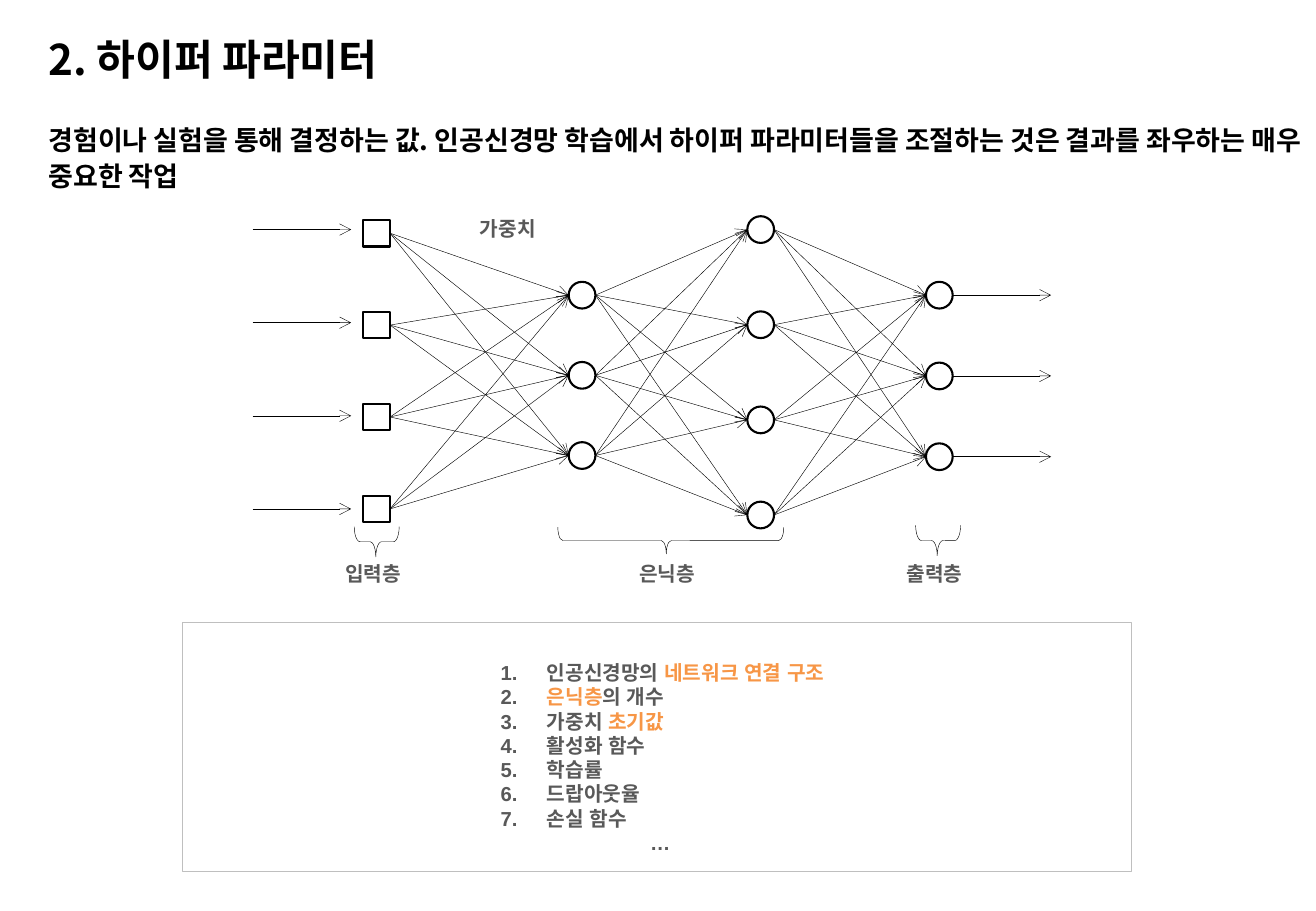
from itertools import product

from lxml.etree import SubElement
from pptx import Presentation
from pptx.dml.color import RGBColor
from pptx.enum.shapes import MSO_CONNECTOR as Link, MSO_SHAPE as Shape
from pptx.enum.text import MSO_ANCHOR as Anchor, MSO_AUTO_SIZE as AutoSize, PP_ALIGN as Align
from pptx.oxml.ns import qn
from pptx.util import Inches, Pt

TITLE = "2. 하이퍼 파라미터"
SUMMARY = ("경험이나 실험을 통해 결정하는 값. 인공신경망 학습에서 하이퍼 파라미터들을 "
           "조절하는 것은 결과를 좌우하는 매우 중요한 작업")
# Each item is a list of (text, colour) spans.
PARAMETERS = [
    [("인공신경망의 ", "muted"), ("네트워크 연결 구조", "accent")],
    [("은닉층", "accent"), ("의 개수", "muted")],
    [("가중치 ", "muted"), ("초기값", "accent")],
    [("활성화 함수", "muted")],
    [("학습률", "muted")],
    [("드랍아웃율", "muted")],
    [("손실 함수", "muted")],
]
MORE = "…"

# Layers: node shape, centre x, first and last centre y, number of nodes
LAYERS = [
    (Shape.RECTANGLE, 3.1, 1.92, 4.19, 4),
    (Shape.OVAL, 4.79, 2.43, 3.75, 3),
    (Shape.OVAL, 6.26, 1.89, 4.24, 4),
    (Shape.OVAL, 7.73, 2.43, 3.76, 3),
]
# Braces: label, centre x, centre y, span, depth
BRACES = [
    ("입력층", 3.1, 4.46, 0.37, 0.25),
    ("은닉층", 5.52, 4.45, 1.86, 0.22),
    ("출력층", 7.72, 4.45, 0.37, 0.25),
]
WEIGHT_LABEL = ("가중치", 4.18, 1.73)
NODE = 0.22
ARROW = 0.81
INPUT_ARROWS = (2.08, 1.89, 4.19)
LABEL_TOP, LABEL_WIDTH, LABEL_HEIGHT = 4.57, 0.71, 0.3
LABEL_SHIFT = -0.03
NUMBER_INDENT, TEXT_INDENT, MORE_INDENT = 2.5, 2.88, 3.73

THEME = {
    "black": "000000", "white": "FFFFFF", "muted": "595959",
    "accent": "F79646", "border": "BFBFBF",
    "heading_font": "Noto Sans CJK KR", "body_font": "Arial",
    "title_size": 25, "summary_size": 16, "body_size": 12,
    "thin": 0.25, "outline": 1.25,
}


def color(name):
    return RGBColor.from_string(THEME[name])


def spread(first, last, count):
    """Return count evenly spaced values from first to last."""
    return [first + (last - first) * i / (count - 1) for i in range(count)]


def set_frame(frame, **values):
    for name, value in values.items():
        setattr(frame, name, value)


def add_span(para, text, size="body_size", font="body_font", ink="muted"):
    span = para.add_run()
    span.text = text
    values = {"size": Pt(THEME[size]), "bold": True, "name": THEME[font]}
    for name, value in values.items():
        setattr(span.font, name, value)
    span.font.color.rgb = color(ink)
    SubElement(span.font._element, qn("a:ea"), typeface=THEME[font])


def add_outline(page, kind, left, top, width, height, line="black", weight="thin", fill=None):
    shape = page.shapes.add_shape(kind, *map(Inches, (left, top, width, height)))
    shape.shadow.inherit = False
    if fill:
        shape.fill.solid()
        shape.fill.fore_color.rgb = color(fill)
    else:
        shape.fill.background()
    shape.line.color.rgb = color(line)
    shape.line.width = Pt(THEME[weight])
    return shape


def add_arrow(page, start, end, source=None):
    arrow = page.shapes.add_connector(Link.STRAIGHT, *map(Inches, (*start, *end)))
    if source is not None:
        arrow.begin_connect(source, 3)
    arrow.line.color.rgb = color("black")
    arrow.line.width = Pt(THEME["thin"])
    SubElement(arrow.line._get_or_add_ln(), qn("a:tailEnd"), type="arrow")
    SubElement(arrow._element.spPr, qn("a:effectLst"))


def add_label(page, text, center, top):
    box = page.shapes.add_textbox(*map(
        Inches, (center - LABEL_WIDTH / 2, top, LABEL_WIDTH, LABEL_HEIGHT)))
    set_frame(box.text_frame, word_wrap=False)
    para = box.text_frame.paragraphs[0]
    para.alignment = Align.CENTER
    add_span(para, text)


def indent(para, left, first=0):
    props = para._p.get_or_add_pPr()
    props.set("marL", str(Inches(left)))
    props.set("indent", str(Inches(first)))
    return props


def add_headings(page):
    summary = page.shapes.add_textbox(*map(Inches, (0.11, 0.95, 10.9, 0.68)))
    title = page.shapes.title
    title.left, title.top, title.width, title.height = map(Inches, (0.31, 0.19, 8.82, 0.55))
    for box, text, size, anchor in ((title, TITLE, "title_size", Anchor.MIDDLE),
                                    (summary, SUMMARY, "summary_size", Anchor.TOP)):
        set_frame(box.text_frame, word_wrap=True, auto_size=AutoSize.NONE,
                  vertical_anchor=anchor, margin_top=Inches(0.04), margin_bottom=Inches(0.04),
                  margin_left=Inches(0.09), margin_right=Inches(0.09))
        para = box.text_frame.paragraphs[0]
        para.alignment = Align.LEFT
        para.line_spacing = 1.1
        add_span(para, text, size, "heading_font", "black")
    indent(summary.text_frame.paragraphs[0], 0.2)


def add_parameters(page):
    box = add_outline(page, Shape.DOWN_ARROW_CALLOUT, 1.5, 5.12, 7.81, 2.05, "border", fill="white")
    for i, value in enumerate((1, 0.5, 0, 1)):
        box.adjustments[i] = value
    frame = box.text_frame
    set_frame(frame, word_wrap=True, vertical_anchor=Anchor.MIDDLE,
              margin_left=Inches(0.12), margin_top=Inches(0.24),
              margin_right=Inches(0.09), margin_bottom=Inches(0.06))
    para = frame.paragraphs[0]
    for spans in PARAMETERS:
        para.alignment = Align.JUSTIFY
        props = indent(para, TEXT_INDENT, NUMBER_INDENT - TEXT_INDENT)
        bullet_color = SubElement(props, qn("a:buClr"))
        SubElement(bullet_color, qn("a:srgbClr"), val=THEME["muted"])
        SubElement(props, qn("a:buFont"), typeface=THEME["body_font"])
        SubElement(props, qn("a:buAutoNum"), type="arabicPeriod")
        for text, ink in spans:
            add_span(para, text, ink=ink)
        para = frame.add_paragraph()
    para.alignment = Align.JUSTIFY
    indent(para, MORE_INDENT)
    add_span(para, MORE)


def add_network(page):
    half = NODE / 2
    layers = []
    for kind, x, first, last, count in LAYERS:
        layers.append([
            (add_outline(page, kind, x - half, y - half, NODE, NODE, weight="outline"), x, y)
            for y in spread(first, last, count)])

    for sources, targets in zip(layers, layers[1:]):
        for (node, x, y), (_, next_x, next_y) in product(sources, targets):
            source = node if sources is layers[0] else None
            add_arrow(page, (x + half, y), (next_x - half, next_y), source)

    left, first, last = INPUT_ARROWS
    for y in spread(first, last, len(layers[0])):
        add_arrow(page, (left, y), (left + ARROW, y))
    for _, x, y in layers[-1]:
        add_arrow(page, (x + half, y), (x + half + ARROW, y))


def add_labels(page):
    add_label(page, *WEIGHT_LABEL)
    for text, x, y, span, depth in BRACES:
        brace = add_outline(page, Shape.RIGHT_BRACE, x - depth / 2, y - span / 2, depth, span)
        brace.rotation = 90
        brace.adjustments[0], brace.adjustments[1] = 0.19, 0.52
        add_label(page, text, x + LABEL_SHIFT, LABEL_TOP)


def main():
    deck = Presentation()
    deck.slide_width, deck.slide_height = Inches(10.83), Inches(7.5)
    page = deck.slides.add_slide(deck.slide_layouts[5])
    add_parameters(page)
    add_headings(page)
    add_network(page)
    add_labels(page)
    deck.save("out.pptx")


if __name__ == "__main__":
    main()
